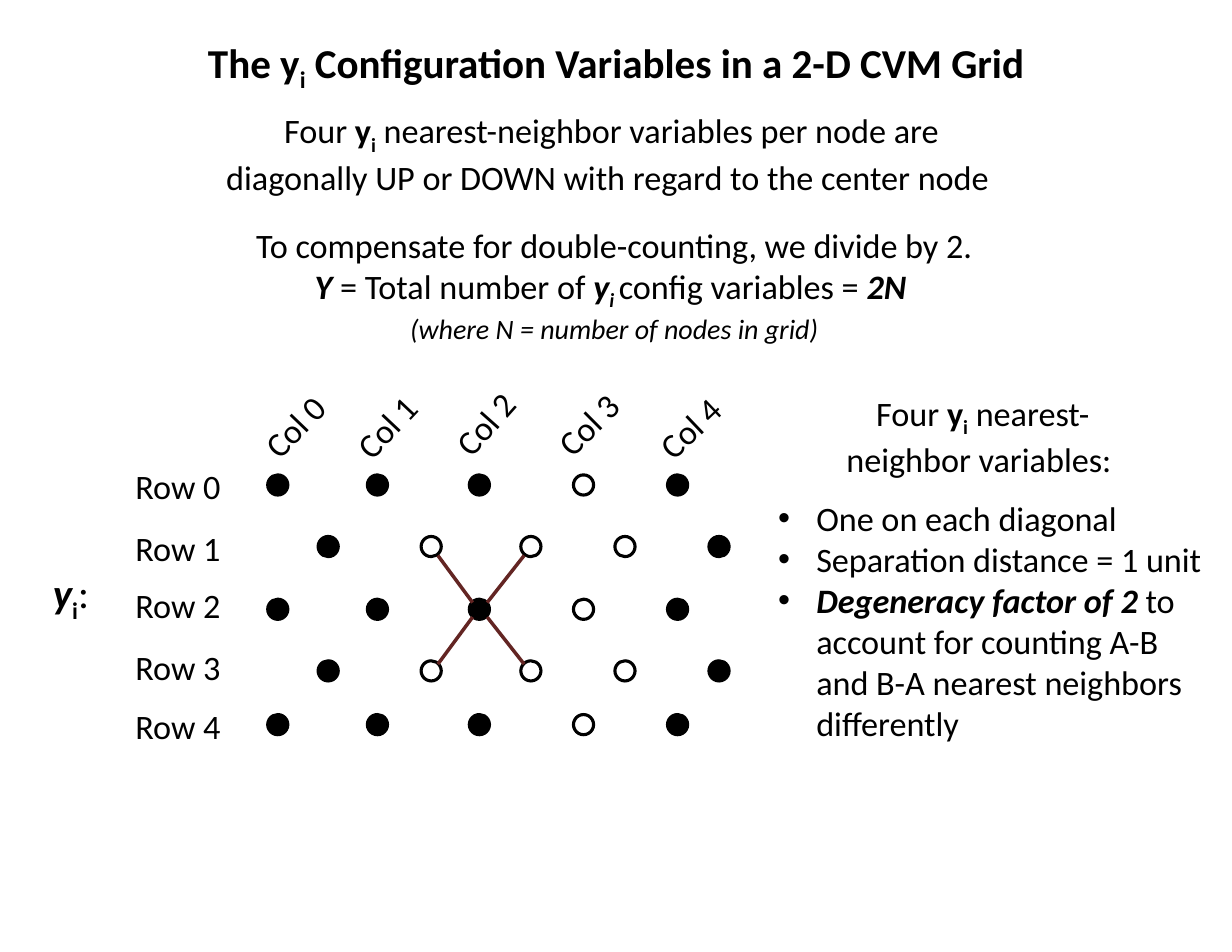
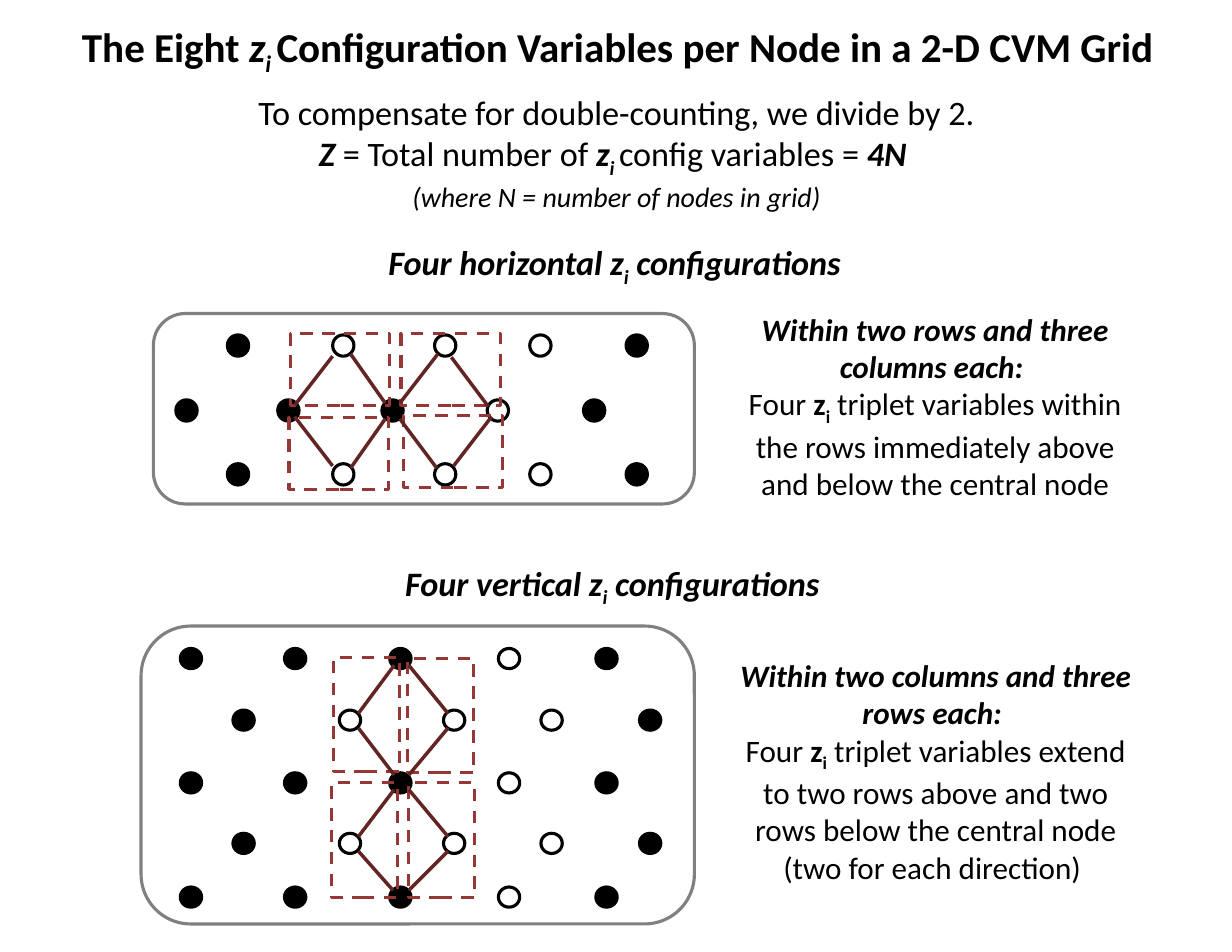
"""Build two slides on the y and z configuration variables of a 2-D CVM grid."""
import pptx
import pptx.dml.color
import pptx.enum.dml
import pptx.enum.shapes
import pptx.enum.text
import pptx.util
from lxml import etree
from pptx.oxml.ns import qn

PX = 9144
SHAPE = pptx.enum.shapes.MSO_SHAPE
LEFT, CENTER = pptx.enum.text.PP_ALIGN.LEFT, pptx.enum.text.PP_ALIGN.CENTER
THEME = {
    "font": "Calibri",
    "ink": pptx.dml.color.RGBColor.from_string("000000"),
    "link": pptx.dml.color.RGBColor.from_string("632523"),
    "frame": pptx.dml.color.RGBColor.from_string("953735"),
    "panel": pptx.dml.color.RGBColor.from_string("808080"),
    "title": 26.4, "body": 22, "side": 20, "note": 18,
    "outline": 2, "link_width": 2.25,
}
EVEN_COLS = [0, 89, 180, 273, 357]
ODD_COLS = [45, 137, 226, 310, 394]
EVEN_FILLED, ODD_FILLED = {0, 1, 2, 4}, {0, 4}


def write(sp, at, paras, size="body", align=CENTER, wrap=True, bullet=False):
    """Place a text shape and fill it; run styles are b, i and s for subscript."""
    sp.left, sp.top, sp.width, sp.height = [v * PX for v in at]
    tf = sp.text_frame
    frame = {"word_wrap": wrap, "auto_size": pptx.enum.text.MSO_AUTO_SIZE.NONE,
             "vertical_anchor": pptx.enum.text.MSO_ANCHOR.TOP}
    for name, value in frame.items():
        setattr(tf, name, value)
    for n, runs in enumerate(paras):
        p = tf.add_paragraph() if n else tf.paragraphs[0]
        p.alignment = align
        if bullet:
            pPr = p._p.get_or_add_pPr()
            pPr.set("marL", str(34 * PX))
            pPr.set("indent", str(-34 * PX))
            etree.SubElement(pPr, qn("a:buFont")).set("typeface", "Arial")
            etree.SubElement(pPr, qn("a:buChar")).set("char", "•")
        for text, style in runs:
            r = p.add_run()
            r.text = text
            points = THEME["note" if "n" in style else size]
            fmt = {"name": THEME["font"], "size": pptx.util.Pt(points),
                   "bold": "b" in style, "italic": "i" in style}
            for name, value in fmt.items():
                setattr(r.font, name, value)
            r.font.color.rgb = THEME["ink"]
            if "s" in style:
                r._r.get_or_add_rPr().set("baseline", "-25000")


def draw_grid(s, left, scale, rows, dot, links, frames=(), panel=None):
    """Draw the staggered nodes, the links between them and the boxes around them."""
    items = []
    for y, odd in rows:
        filled = ODD_FILLED if odd else EVEN_FILLED
        for col, x in enumerate(ODD_COLS if odd else EVEN_COLS):
            at = (left + round(x * scale), y, *dot)
            items.append((SHAPE.OVAL, at, "ink", col in filled))
    items += [(SHAPE.RECTANGLE, at, "frame", False) for at in frames]
    if panel:
        items.append((SHAPE.ROUNDED_RECTANGLE, panel, "panel", False))
    for kind, at, color, solid in items:
        sp = s.shapes.add_shape(kind, *[v * PX for v in at])
        sp.shadow.inherit = False
        if solid:
            sp.fill.solid()
            sp.fill.fore_color.rgb = THEME[color]
        else:
            sp.fill.background()
        sp.line.color.rgb = THEME[color]
        sp.line.width = pptx.util.Pt(THEME["outline"])
        if color == "frame":
            sp.line.dash_style = pptx.enum.dml.MSO_LINE.DASH
    for ends in links:
        cn = s.shapes.add_connector(pptx.enum.shapes.MSO_CONNECTOR.STRAIGHT,
                                    *[v * PX for v in ends])
        cn.line.color.rgb = THEME["link"]
        cn.line.width = pptx.util.Pt(THEME["link_width"])
        etree.SubElement(cn._element.spPr, qn("a:effectLst"))


prs = pptx.Presentation()
prs.slide_width, prs.slide_height = 1100 * PX, 850 * PX

TITLES = [
    ((172, 28, 757, 55), [("The y", "b"), ("i", "bs"),
                          (" Configuration Variables in a 2-D CVM Grid", "b")]),
    ((43, 14, 1018, 55), [("The Eight ", "b"), ("z", "bi"), ("i ", "bis"),
                          ("Configuration Variables per Node in a 2-D CVM Grid", "b")]),
]
TOTALS = [((214, 195, 669, 114), "Y", "y", "2N "), ((216, 77, 669, 114), "Z", "z", "4N ")]
slides = []
for (title_at, title), (at, total, variable, count) in zip(TITLES, TOTALS):
    s = prs.slides.add_slide(prs.slide_layouts[5])
    write(s.shapes.title, title_at, [title], "title")
    write(s.shapes.add_textbox(0, 0, 0, 0), at, [
        [("To compensate for double-counting, we divide by 2. ", ""), (total, "bi"),
         (" = Total number of ", ""), (variable, "bi"), ("i ", "bis"),
         ("config variables = ", ""), (count, "bi")],
        [("(where N = number of nodes in grid)", "in")]])
    slides.append(s)
s_y, s_z = slides

draw_grid(s_y, 239, 1, [(424, False), (479, True), (535, False), (590, True), (638, False)],
          (18, 18), [(391, 496, 422, 538), (391, 593, 422, 551),
                     (468, 593, 435, 551), (468, 496, 435, 538)])
for n, y in enumerate([411, 466, 517, 572, 625]):
    write(s_y.shapes.add_textbox(0, 0, 0, 0), (111, y, 97, 47),
          [[(f"Row {n}", "")]], align=LEFT, wrap=False)
COL_LABELS = [(222, 357, 313.9), (304, 357, 313.3), (392, 354, 311.6),
              (484, 355, 315.2), (575, 358, 316.4)]
for n, (x, y, angle) in enumerate(COL_LABELS):
    sp = s_y.shapes.add_textbox(0, 0, 0, 0)
    write(sp, (x, y, 83, 47), [[(f"Col {n}", "")]], align=LEFT, wrap=False)
    sp.rotation = angle

FOUR_Y = [("Four ", ""), ("y", "b"), ("i", "bs")]
write(s_y.shapes.add_textbox(0, 0, 0, 0), (192, 93, 708, 84), [FOUR_Y + [
    (" nearest-neighbor variables per node are diagonally UP or DOWN "
     "with regard to the center node ", "")]])
write(s_y.shapes.add_textbox(0, 0, 0, 0), (722, 345, 311, 84),
      [FOUR_Y + [(" nearest-neighbor variables: ", "")]])
write(s_y.shapes.add_textbox(0, 0, 0, 0), (685, 439, 407, 232), [
    [("One on each diagonal", "")],
    [("Separation distance = 1 unit", "")],
    [("Degeneracy factor of 2 ", "bi"),
     ("to account for counting A-B and B-A nearest neighbors differently", "")],
], align=LEFT, bullet=True)
write(s_y.shapes.add_textbox(0, 0, 0, 0), (30, 502, 75, 55),
      [[("y", "bi"), ("i", "bs"), (": ", "")]], "title")

draw_grid(s_z, 157, 1.02, [(299, True), (357, False), (414, True)], (19, 19),
          [(313, 316, 344, 360), (313, 418, 344, 374), (390, 418, 357, 374),
           (391, 316, 357, 360), (297, 318, 263, 362), (436, 363, 403, 319),
           (297, 416, 263, 372), (439, 372, 405, 416)],
          [(x, y, 89, 64) for x, y in [(259, 298), (258, 373), (358, 298), (360, 371)]],
          (137, 280, 483, 170))
draw_grid(s_z, 161, 1.04,
          [(579, False), (634, True), (690, False), (744, True), (792, False)], (19, 18),
          [(320, 650, 352, 692), (320, 747, 352, 705), (351, 795, 320, 760),
           (400, 650, 365, 692), (400, 747, 365, 705), (352, 594, 320, 637),
           (365, 594, 400, 637), (365, 795, 400, 760)],
          [(x, y, 59, 102) for x, y in [(298, 587), (364, 588), (365, 699), (296, 699)]],
          (126, 559, 494, 266))

HEADINGS = [((337, 211, 430, 47), "horizontal"), ((352, 497, 396, 47), "vertical")]
for at, direction in HEADINGS:
    write(s_z.shapes.add_textbox(0, 0, 0, 0), at,
          [[(f"Four {direction} z", "bi"), ("i", "bis"), (" configurations", "bi")]],
          align=LEFT, wrap=False)
EXPLANATIONS = [
    ((653, 272, 364, 178), "Within two rows and three columns each: ",
     " triplet variables within the rows immediately above and below the central node"),
    ((644, 581, 383, 212), "Within two columns and three rows each: ",
     " triplet variables extend to two rows above and two rows below the central node "
     "(two for each direction) "),
]
for at, lead, detail in EXPLANATIONS:
    write(s_z.shapes.add_textbox(0, 0, 0, 0), at,
          [[(lead, "bi")], [("Four ", ""), ("z", "b"), ("i", "bs"), (detail, "")]], "side")

prs.save("out.pptx")
